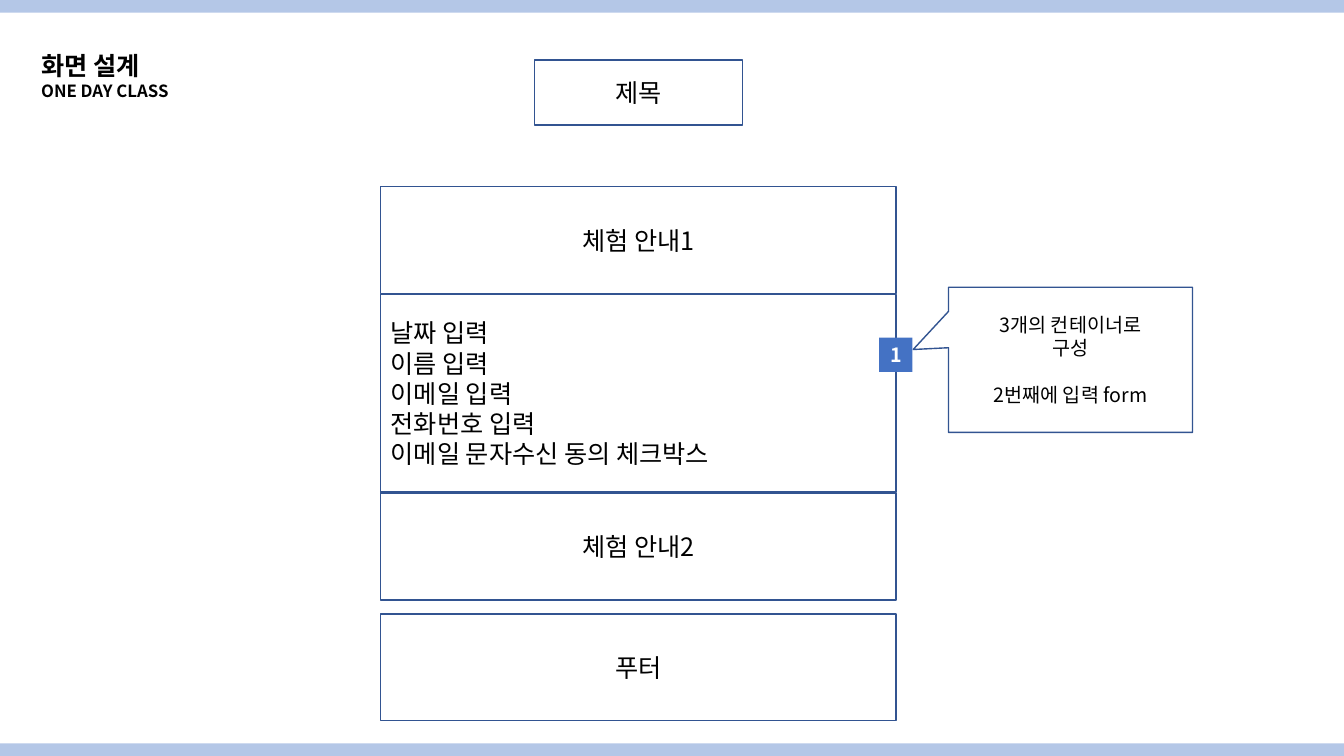
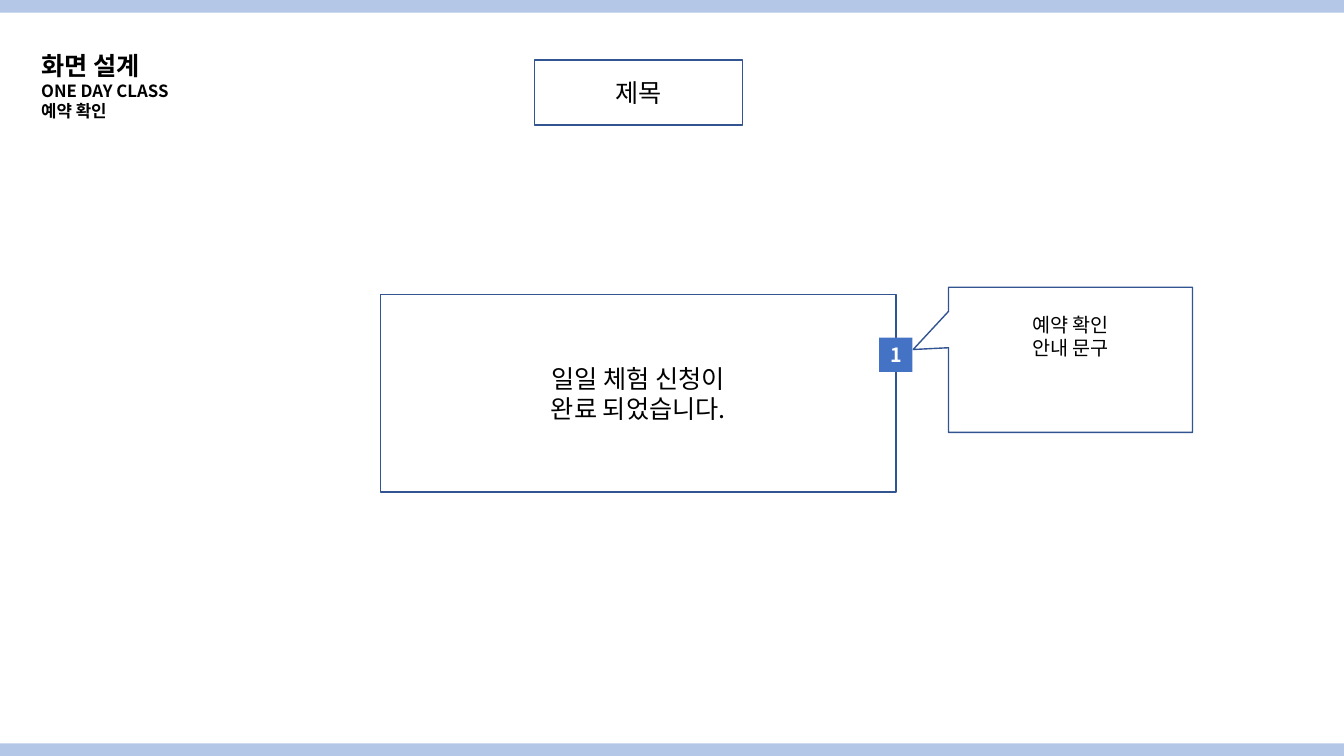
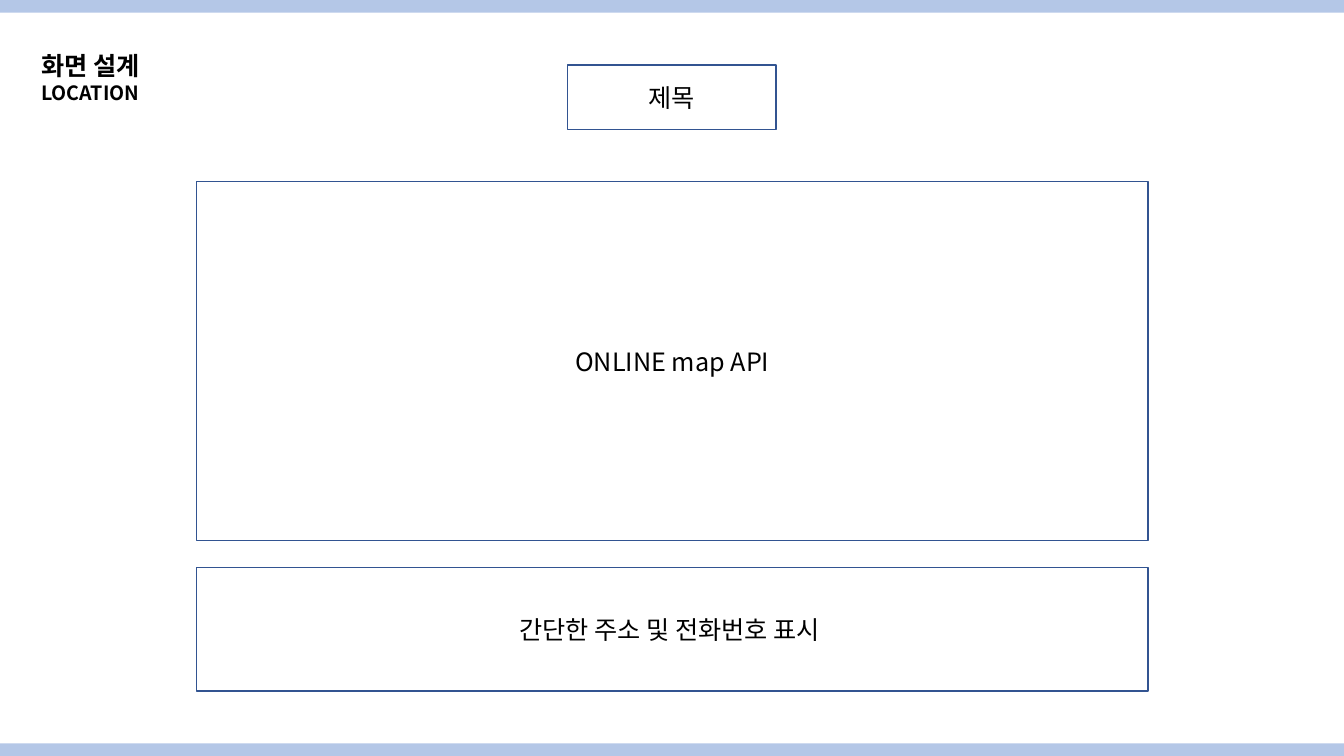
from lxml import etree
from pptx import Presentation
from pptx.dml.color import RGBColor
from pptx.enum.shapes import MSO_SHAPE
from pptx.enum.text import MSO_ANCHOR, PP_ALIGN
from pptx.oxml.ns import qn
from pptx.util import Pt

RECT = MSO_SHAPE.RECTANGLE
CALLOUT = MSO_SHAPE.RECTANGULAR_CALLOUT
LEFT, CENTER = PP_ALIGN.LEFT, PP_ALIGN.CENTER
TOP, MIDDLE = MSO_ANCHOR.TOP, MSO_ANCHOR.MIDDLE

FONT = "Noto Sans CJK KR"
BAND, OUTLINE, MARKER = "B4C7E7", "325491", "4472C4"
BLACK, WHITE = "000000", "FFFFFF"
SLIDE_W, SLIDE_H, BAND_H = 960, 540, 9
LEADING = 1.2
TITLE_BOX = (381.6, 43, 149, 46.2)
MAP_TITLE_BOX = (405.4, 46.4, 149, 46.2)
FORM_BOX = (272, 210.2, 368, 141.3)
ROW_H, ROW_GAP = 76.4, 0.6


def rgb(color):
    return RGBColor.from_string(color)


def write(sp, lines, size=18, color=BLACK, bold=False, align=CENTER,
          anchor=MIDDLE):
    """Fill a shape with lines; a line is a text or a (text, size) pair."""
    tf = sp.text_frame
    tf.word_wrap = True
    tf.vertical_anchor = anchor
    for i, line in enumerate(lines):
        text, pt = line if isinstance(line, tuple) else (line, size)
        p = tf.paragraphs[0] if i == 0 else tf.add_paragraph()
        p.alignment = align
        p.line_spacing = Pt(round(pt * LEADING, 2))
        r = p.add_run()
        r.text = text
        r.font.name, r.font.size, r.font.bold = FONT, Pt(pt), bold
        r.font.color.rgb = rgb(color)
        # Hangul takes the East Asian typeface
        ea = etree.SubElement(r.font._element, qn("a:ea"))
        ea.set("typeface", FONT)
    return tf


def shape(s, box, fill=WHITE, line=None, kind=RECT):
    sp = s.shapes.add_shape(kind, *map(Pt, box))
    sp.shadow.inherit = False
    sp.fill.solid()
    sp.fill.fore_color.rgb = rgb(fill)
    if line:
        sp.line.color.rgb = rgb(line)
        sp.line.width = Pt(1)
    else:
        sp.line.fill.background()
    return sp


def panel(s, box, lines, align=CENTER):
    write(shape(s, box, line=OUTLINE), lines, align=align)


def base_slide(prs, heading, title_box):
    """Bands, heading and the title panel found on every slide."""
    s = prs.slides.add_slide(prs.slide_layouts[6])
    for y in (0, SLIDE_H - BAND_H):
        shape(s, (0, y, SLIDE_W, BAND_H), BAND)
    sp = s.shapes.add_textbox(Pt(22.3), Pt(32.4), Pt(112.3), Pt(44))
    write(sp, [("화면 설계", 18)] + heading, bold=True, align=LEFT, anchor=TOP)
    panel(s, title_box, ["제목"])
    return s


def note(s, box, lines):
    """Numbered marker on the right edge of a box, with its callout."""
    x, y, w, _ = box
    right = x + w
    sp = shape(s, (right + 37.5, y - 5, 174.3, 103.7), line=OUTLINE,
               kind=CALLOUT)
    sp.adjustments[0], sp.adjustments[1] = -0.645, -0.071
    tf = write(sp, lines, size=14)
    marker = shape(s, (right - 12, y + 31, 23.8, 24.4), MARKER)
    write(marker, ["1"], size=14, color=WHITE, bold=True)
    return tf


def class_slide(prs):
    s = base_slide(prs, [("ONE DAY CLASS", 12)], TITLE_BOX)
    x, y, w, h = FORM_BOX
    below = y + h + ROW_GAP
    rows = [(y - ROW_GAP - ROW_H, "체험 안내1"), (below, "체험 안내2"),
            (below + ROW_H + 10, "푸터")]
    for top, text in rows:
        panel(s, (x, top, w, ROW_H), [text])
    panel(s, FORM_BOX, ["날짜 입력", "이름 입력", "이메일 입력", "전화번호 입력",
                        "이메일 문자수신 동의 체크박스"], LEFT)
    tf = note(s, FORM_BOX, ["3개의 컨테이너로", "구성", "2번째에 입력 form"])
    tf.paragraphs[2].space_before = Pt(16.8)


def confirm_slide(prs):
    s = base_slide(prs, [("ONE DAY CLASS", 12), ("예약 확인", 12)], TITLE_BOX)
    panel(s, FORM_BOX, ["일일 체험 신청이", "완료 되었습니다."])
    tf = note(s, FORM_BOX, ["예약 확인", "안내 문구"])
    tf.margin_bottom = Pt(37.2)  # keeps the text in the upper half


def location_slide(prs):
    s = base_slide(prs, [("LOCATION", 14)], MAP_TITLE_BOX)
    x, y, w, h = 140.4, 129.6, 679.6, 256.4
    panel(s, (x, y, w, h), ["ONLINE map API"])
    panel(s, (x, y + h + 19.3, w, 88.4), ["간단한 주소 및 전화번호 표시 "])


def main():
    prs = Presentation()
    prs.slide_width, prs.slide_height = Pt(SLIDE_W), Pt(SLIDE_H)
    class_slide(prs)
    confirm_slide(prs)
    location_slide(prs)
    prs.save("out.pptx")


if __name__ == "__main__":
    main()
